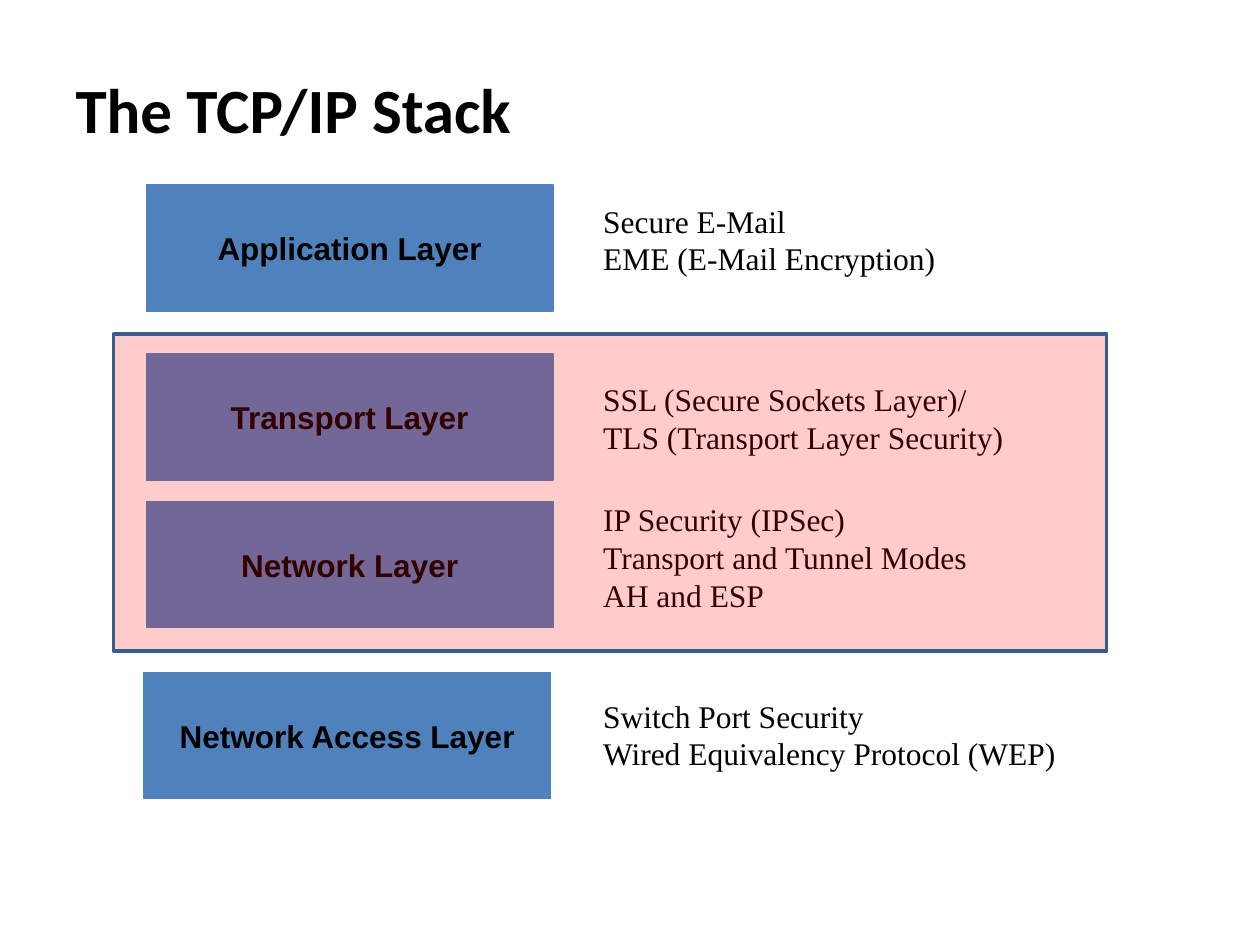
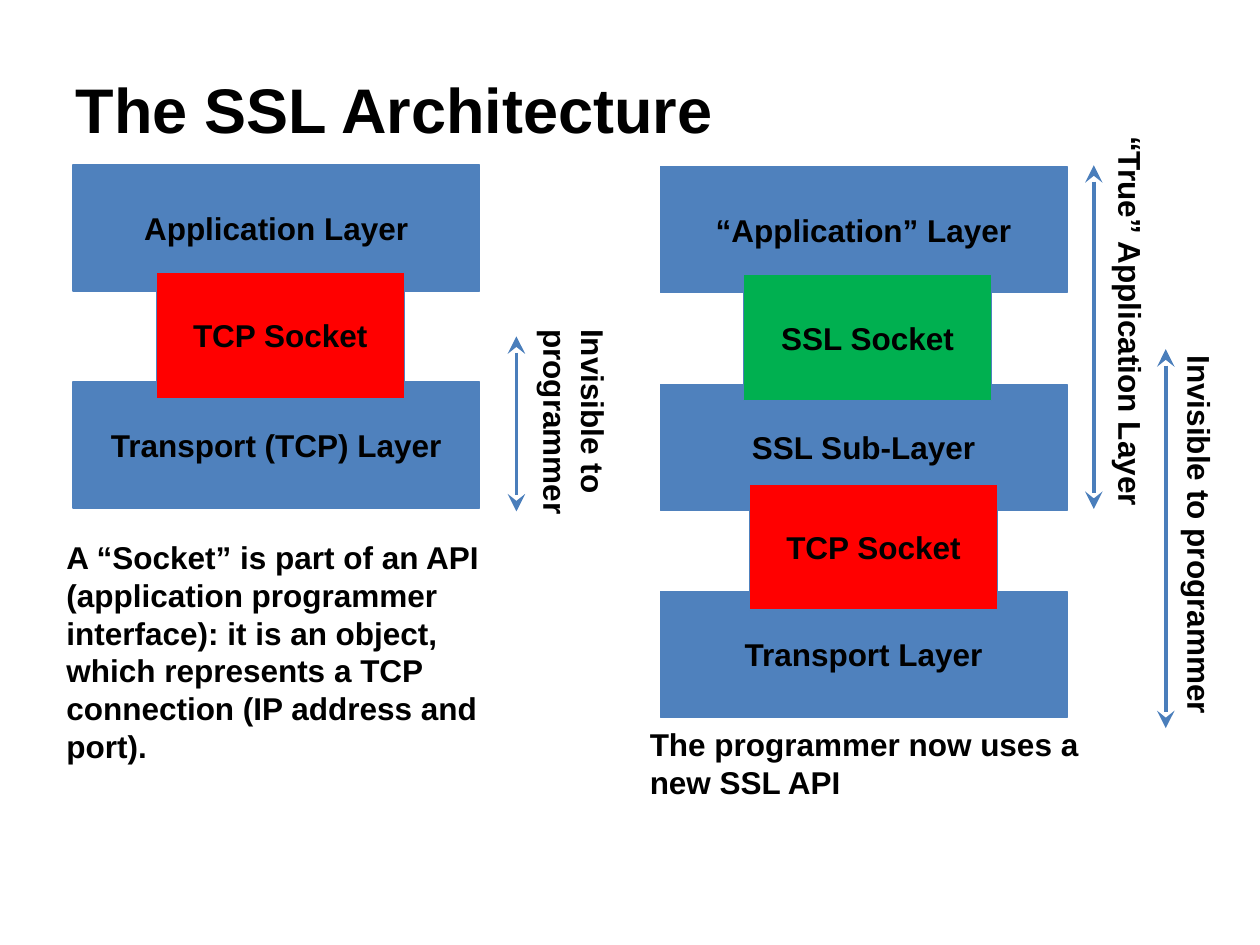
from lxml import etree
from pptx import Presentation
from pptx.dml.color import RGBColor
from pptx.enum import shapes as kinds, text as enums
from pptx.oxml.ns import qn
from pptx.util import Cm, Pt

BLUE = RGBColor(0x4F, 0x81, 0xBD)
ARROW = RGBColor(0x4A, 0x7E, 0xBB)
NAVY = RGBColor(0x38, 0x5D, 0x8A)
RED = RGBColor(0xFF, 0x00, 0x00)
GREEN = RGBColor(0x00, 0xB0, 0x50)
BLACK = RGBColor(0x00, 0x00, 0x00)

HEAD = dict(size=Pt(36), bold=True, name="Arial")
BOLD = dict(size=Pt(18), bold=True, name="Arial")
PLAIN = dict(size=Pt(18), bold=False, name="Times New Roman")
TIP = dict(type="stealth", w="lg", len="lg")
LEFT, MID = enums.PP_ALIGN.LEFT, enums.PP_ALIGN.CENTER
BOX_H, LINE_H, PAD = 2.54, 0.76, 0.25
LAYER_W, SOCK_W = 8.2, 5

NOTE_X = 11.91
STACK = [
    ("Application Layer", 2.95, 3.73, 3.94, 8,
     ["Secure E-Mail", "EME (E-Mail Encryption)"]),
    ("Transport Layer", 2.95, 7.14, 7.54, 10,
     ["SSL (Secure Sockets Layer)/", "TLS (Transport Layer Security)"]),
    ("Network Layer", 2.95, 10.11, 9.96, 11.43,
     ["IP Security (IPSec)", "Transport and Tunnel Modes", "AH and ESP"]),
    ("Network Access Layer", 2.9, 13.56, 13.92, 10.39,
     ["Switch Port Security", "Wired Equivalency Protocol (WEP)"]),
]
FOCUS = (2.29, 6.73, 20.02, 6.4)

LAYERS = [
    (1.47, 3.33, "Application Layer"),
    (1.47, 7.7, "Transport (TCP) Layer"),
    (13.31, 3.36, "“Application” Layer"),
    (13.31, 7.75, "SSL Sub-Layer"),
    (13.31, 11.92, "Transport Layer"),
]
SOCKETS = [
    (3.15, 5.49, "TCP Socket", RED),
    (14.99, 5.54, "SSL Socket", GREEN),
    (15.11, 9.76, "TCP Socket", RED),
]
REMARKS = [
    (1.09, 10.72, 6, "A “Socket” is part of an API (application programmer "
     "interface): it is an object, which represents a TCP connection "
     "(IP address and port)."),
    (12.85, 14.49, 2, "The programmer now uses a new SSL API"),
]
SPANS = [
    (10.41, 6.78, 10.31, (8.43, 8.66, 6.32), 2, "Invisible to programmer"),
    (22.05, 3.33, 10.26, (18.29, 6.5, 9.02), 1, "“True” Application Layer"),
    (23.5, 7.04, 14.68, (20.19, 10.41, 8), 1, "Invisible to programmer"),
]


def write(frame, lines, style, align=LEFT):
    frame.word_wrap = True
    for i, line in enumerate(lines):
        para = frame.paragraphs[0] if i == 0 else frame.add_paragraph()
        para.alignment = align
        run = para.add_run()
        run.text = line
        run.font.color.rgb = BLACK
        for key, value in style.items():
            setattr(run.font, key, value)


def start(deck, title, **style):
    slide = deck.slides.add_slide(deck.slide_layouts[5])
    head = slide.shapes.title
    place = dict(left=1.27, top=0.79, width=22.86, height=2.77)
    for key, value in place.items():
        setattr(head, key, Cm(value))
    frame = head.text_frame
    frame.auto_size = enums.MSO_AUTO_SIZE.NONE
    frame.vertical_anchor = enums.MSO_ANCHOR.MIDDLE
    write(frame, [title], {**HEAD, **style})
    return slide.shapes


def block(board, area, fill, edge=BLUE, width=0.75):
    shape = board.add_shape(kinds.MSO_SHAPE.RECTANGLE, *map(Cm, area))
    shape.shadow.inherit = False
    shape.fill.solid()
    shape.fill.fore_color.rgb = fill
    shape.line.color.rgb = edge
    shape.line.width = Pt(width)
    return shape


def label(board, x, y, wide, name, fill=BLUE):
    shape = block(board, (x, y, wide, BOX_H), fill)
    shape.text_frame.vertical_anchor = enums.MSO_ANCHOR.MIDDLE
    write(shape.text_frame, [name], BOLD, MID)


def note(board, x, y, wide, rows, lines, style, turn=0):
    area = (x, y, wide, PAD + LINE_H * rows)
    shape = board.add_textbox(*map(Cm, area))
    shape.rotation = turn
    write(shape.text_frame, lines, style)


def arrow(board, x, top, end):
    line = board.add_connector(kinds.MSO_CONNECTOR.STRAIGHT,
                               *map(Cm, (x, top, x, end)))
    line.line.color.rgb = ARROW
    line.line.width = Pt(2)
    stroke = line.line._get_or_add_ln()
    for tag in ("a:headEnd", "a:tailEnd"):
        etree.SubElement(stroke, qn(tag), **TIP)
    etree.SubElement(line._element.spPr, qn("a:effectLst"))


def draw_stack(deck):
    board = start(deck, "The TCP/IP Stack", name="Calibri")
    for name, x, y, note_y, wide, lines in STACK:
        label(board, x, y, LAYER_W, name)
        note(board, NOTE_X, note_y, wide, len(lines), lines, PLAIN)
    veil = block(board, FOCUS, RED, NAVY, 2)
    tint = veil._element.spPr.find(qn("a:solidFill"))[0]
    etree.SubElement(tint, qn("a:alpha"), val="20000")


def draw_ssl(deck):
    board = start(deck, "The SSL Architecture")
    for x, y, name in LAYERS:
        label(board, x, y, LAYER_W, name)
    for x, y, name, fill in SOCKETS:
        label(board, x, y, SOCK_W, name, fill)
    for x, y, rows, words in REMARKS:
        note(board, x, y, 9.4, rows, [words], BOLD)
    for x, top, end, spot, rows, words in SPANS:
        arrow(board, x, top, end)
        note(board, *spot, rows, [words], BOLD, 90)


def main():
    deck = Presentation()
    deck.slide_width, deck.slide_height = Cm(25.4), Cm(19.05)
    draw_stack(deck)
    draw_ssl(deck)
    deck.save("out.pptx")


if __name__ == "__main__":
    main()
